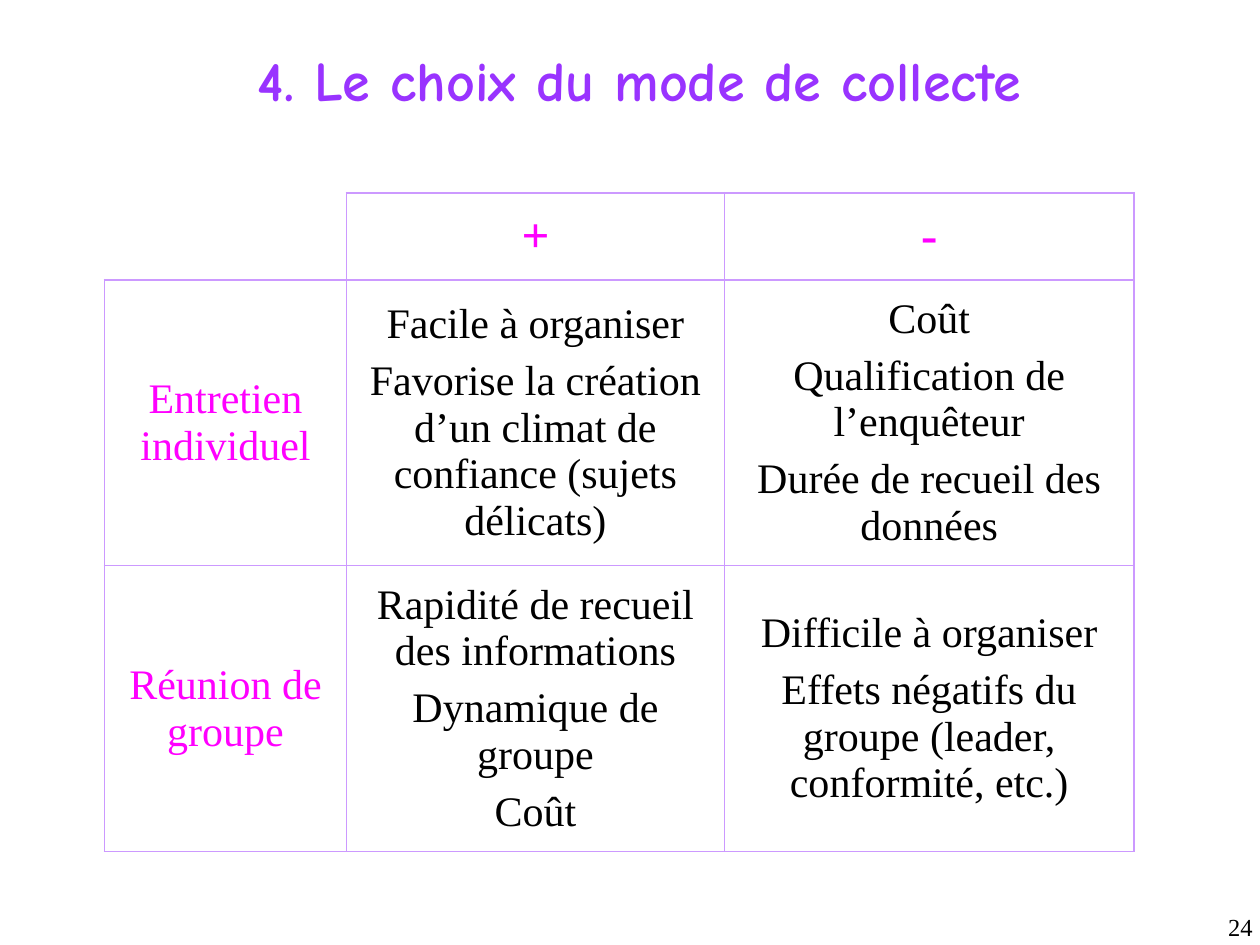
from pptx import Presentation
from pptx.dml.color import RGBColor
from pptx.enum import text
from pptx.oxml import parse_xml
from pptx.oxml.ns import nsdecls
from pptx.util import Inches, Pt

# Content
TITLE = "4. Le choix du mode de collecte"
PAGE = "24"
ROWS = [
    [[], ["+"], ["-"]],
    [["Entretien individuel"],
     ["Facile à organiser",
      "Favorise la création d’un climat de confiance (sujets délicats)"],
     ["Coût", "Qualification de l’enquêteur", "Durée de recueil des données"]],
    [["Réunion de groupe"],
     ["Rapidité de recueil des informations", "Dynamique de groupe", "Coût"],
     ["Difficile à organiser",
      "Effets négatifs du groupe (leader, conformité, etc.)"]],
]
COL_WIDTHS = [1.92, 3, 3.25]
ROW_HEIGHTS = [0.69, 2.27, 2.27]
VIOLET, LILAC, PINK, BLACK = "9933FF", "CC99FF", "FF00FF", "000000"
SERIF = "Times New Roman"


def style(p, size, color, name=SERIF, bold=False, align=text.PP_ALIGN.CENTER):
    p.alignment = align
    f = p.font
    f.size, f.name, f.bold = Pt(size), name, bold
    f.color.rgb = RGBColor.from_string(color)


def set_borders(cell, hidden=()):
    for side in "LRTB":
        fill = ("<a:noFill/>" if side in hidden else
                f'<a:solidFill><a:srgbClr val="{LILAC}"/></a:solidFill>')
        cell._tc.get_or_add_tcPr().append(parse_xml(
            f'<a:ln{side} {nsdecls("a")} w="{Pt(1.08)}">{fill}</a:ln{side}>'))


prs = Presentation()
prs.slide_width, prs.slide_height = Inches(10), Inches(7.5)
s = prs.slides.add_slide(prs.slide_layouts[5])

# Title
title = s.shapes.title
title.left, title.top = Inches(0.58), Inches(0)
title.width, title.height = Inches(9), Inches(1.25)
tf = title.text_frame
tf.text = TITLE
tf.vertical_anchor = text.MSO_ANCHOR.MIDDLE
style(tf.paragraphs[0], 32, VIOLET, "Comic Neue", True)

# Comparison table
table = s.shapes.add_table(
    len(ROWS), len(COL_WIDTHS), Inches(0.83), Inches(1.53),
    Inches(sum(COL_WIDTHS)), Inches(sum(ROW_HEIGHTS))).table
table.first_row = table.horz_banding = False
for column, width in zip(table.columns, COL_WIDTHS):
    column.width = Inches(width)
for row, height in zip(table.rows, ROW_HEIGHTS):
    row.height = Inches(height)

for i, row in enumerate(ROWS):
    for j, lines in enumerate(row):
        cell = table.cell(i, j)
        set_borders(cell, "LT" if i == j == 0 else "")
        cell.fill.background()
        cell.vertical_anchor = text.MSO_ANCHOR.MIDDLE
        cell.text = "\n".join(lines)
        for n, p in enumerate(cell.text_frame.paragraphs):
            style(p, 28 if i == 0 else 24, BLACK if i and j else PINK, bold=i == 0)
            if n:
                p.space_before = Pt(6)

# Page number
tf = s.shapes.add_textbox(Inches(7.96), Inches(7.19), Inches(2.08), Inches(0.5)).text_frame
tf.word_wrap = True
tf.text = PAGE
style(tf.paragraphs[0], 14, BLACK, align=text.PP_ALIGN.RIGHT)

prs.save("out.pptx")
